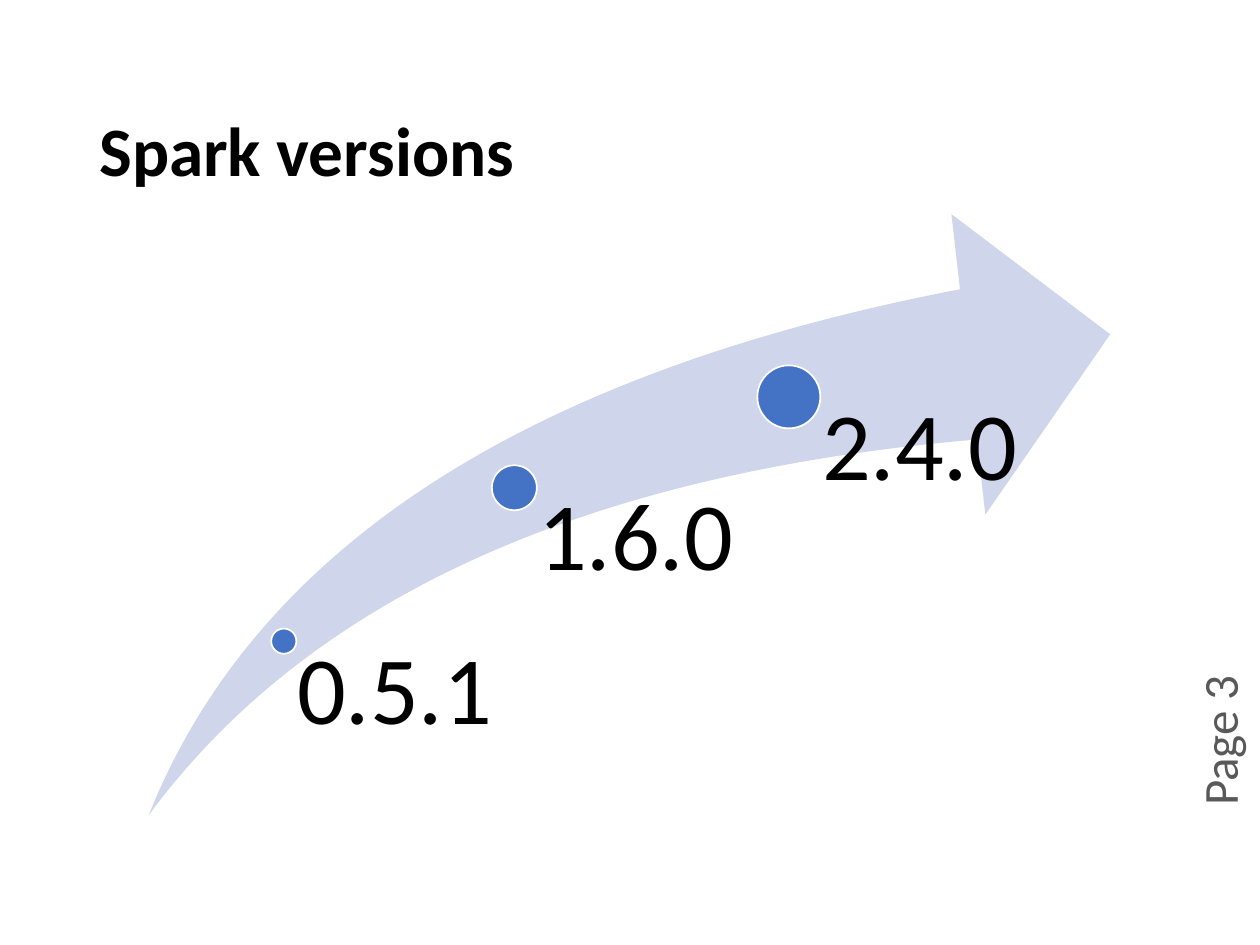
from pptx import Presentation
from pptx.dml.color import RGBColor
from pptx.enum.shapes import MSO_SHAPE
from pptx.enum.text import MSO_ANCHOR, PP_ALIGN
from pptx.util import Pt

SWOOSH, CIRCLE = MSO_SHAPE.SWOOSH_ARROW, MSO_SHAPE.OVAL
TOP, MIDDLE = MSO_ANCHOR.TOP, MSO_ANCHOR.MIDDLE
LEFT, RIGHT = PP_ALIGN.LEFT, PP_ALIGN.RIGHT

BLACK = RGBColor(0x00, 0x00, 0x00)
WHITE = RGBColor(0xFF, 0xFF, 0xFF)
GRAY = RGBColor(0x59, 0x59, 0x59)
BLUE = RGBColor(0x44, 0x72, 0xC4)
PALE_BLUE = RGBColor(0xCF, 0xD5, 0xEA)

ARROW_TOP, ARROW_HEIGHT = 122.4, 343.4
ARROW_BOTTOM = ARROW_TOP + ARROW_HEIGHT
INSET_RATIO = 0.53  # label indent per unit of dot diameter

# version, dot centre x, dot centre y, dot diameter, label width
MILESTONES = [
    ("0.5.1", 162.2, 366.4, 14.4, 128),
    ("1.6.0", 293.9, 278.7, 25.7, 132),
    ("2.4.0", 450.8, 226.8, 36, 132),
]


def add_text(shapes, text, bounds, size, color=BLACK, bold=False,
             align=LEFT, spacing=0.9, frame_format=None):
    box = shapes.add_textbox(*[Pt(length) for length in bounds])
    frame = box.text_frame
    frame.word_wrap = True
    for name, value in (frame_format or {}).items():
        setattr(frame, name, value)
    para = frame.paragraphs[0]
    para.alignment = align
    para.line_spacing = spacing
    span = para.add_run()
    span.text = text
    for name, value in {"name": "Calibri", "size": Pt(size), "bold": bold}.items():
        setattr(span.font, name, value)
    span.font.color.rgb = color
    return box


def add_filled(shapes, kind, bounds, color):
    shape = shapes.add_shape(kind, *[Pt(length) for length in bounds])
    shape.shadow.inherit = False
    shape.fill.solid()
    shape.fill.fore_color.rgb = color
    return shape


deck = Presentation()
deck.slide_width, deck.slide_height = Pt(720), Pt(540)
page = deck.slides.add_slide(deck.slide_layouts[6])

add_text(page.shapes, "Spark versions", (49.7, 64.8, 620.6, 46), 39.6,
         bold=True, frame_format={"vertical_anchor": MIDDLE})

timeline = page.shapes.add_group_shape().shapes
arrow = add_filled(timeline, SWOOSH, (85, ARROW_TOP, 549.4, ARROW_HEIGHT), PALE_BLUE)
arrow.adjustments[0] = arrow.adjustments[1] = 0.25
arrow.line.fill.background()

for version, x, y, diameter, label_width in MILESTONES:
    radius = diameter / 2
    dot = add_filled(timeline, CIRCLE, (x - radius, y - radius, diameter, diameter), BLUE)
    dot.line.color.rgb = WHITE
    dot.line.width = Pt(1)
    add_text(timeline, version, (x, y, label_width, ARROW_BOTTOM - y), 55,
             frame_format={"vertical_anchor": TOP,
                           "margin_left": Pt(INSET_RATIO * diameter),
                           "margin_top": 0, "margin_right": 0, "margin_bottom": 0})

page_number = add_text(page.shapes, "Page 3", (644.4, 416.2, 103.7, 28.8), 28,
                       color=GRAY, align=RIGHT, spacing=1.0,
                       frame_format={"vertical_anchor": MIDDLE})
page_number.rotation = 270

deck.save("out.pptx")
